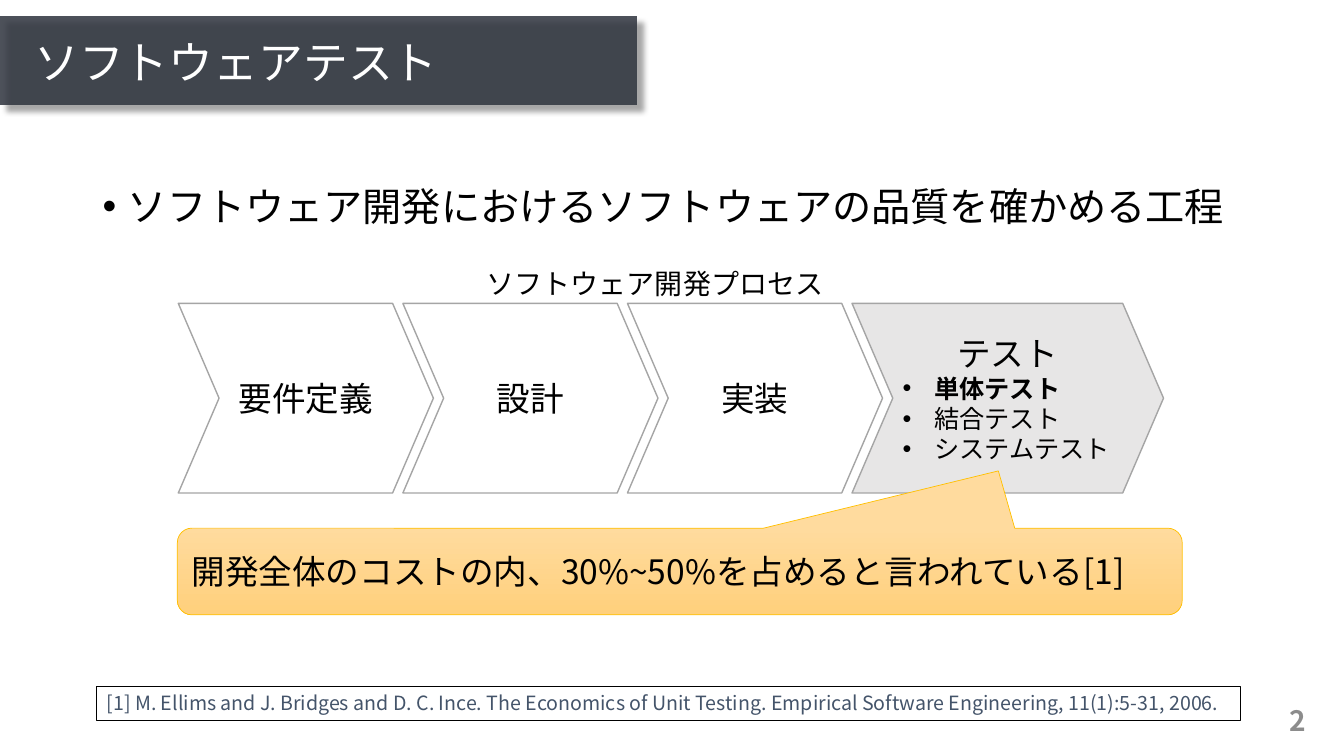
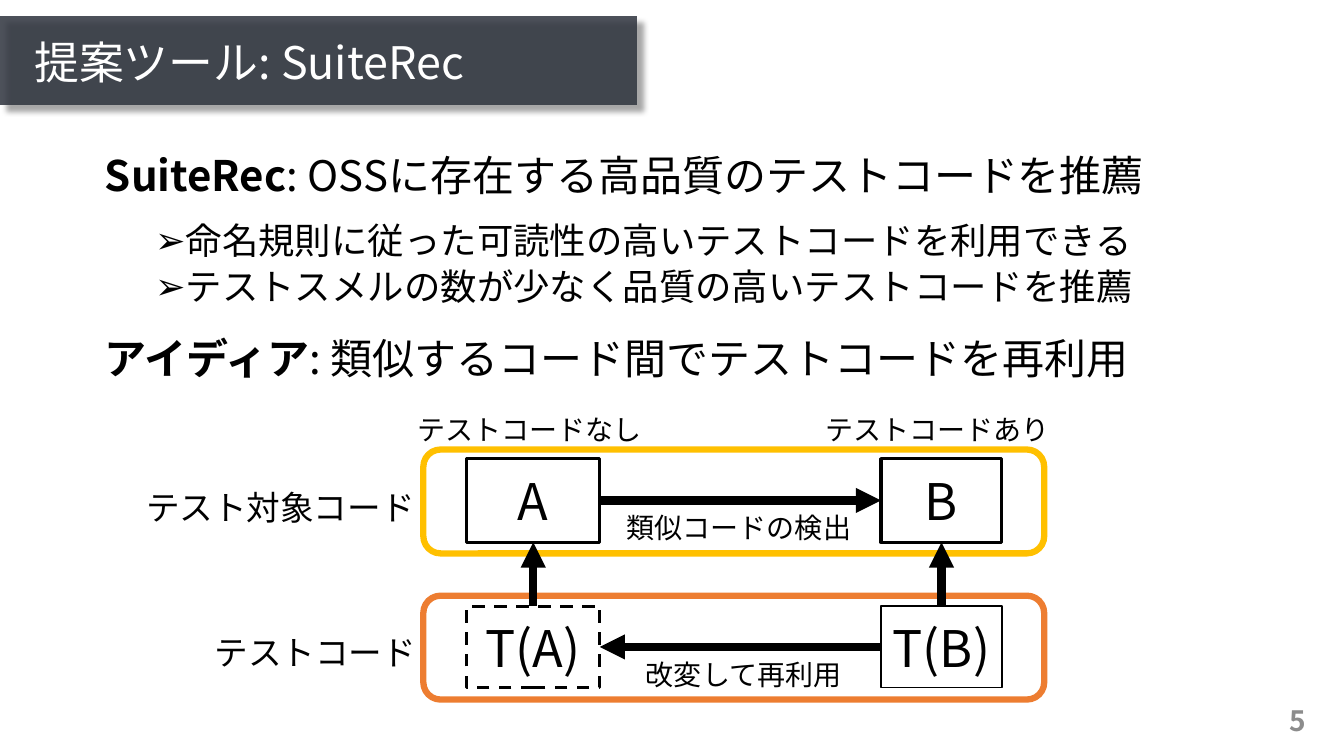
from lxml import etree
from pptx import Presentation
from pptx.dml.color import RGBColor
from pptx.enum.dml import MSO_LINE
from pptx.enum.lang import MSO_LANGUAGE_ID
from pptx.enum.shapes import MSO_CONNECTOR, MSO_SHAPE
from pptx.enum.text import MSO_ANCHOR, MSO_AUTO_SIZE, PP_ALIGN
from pptx.oxml.ns import qn
from pptx.util import Pt

RECT, CHEVRON = MSO_SHAPE.RECTANGLE, MSO_SHAPE.CHEVRON
FRAME = MSO_SHAPE.FLOWCHART_ALTERNATE_PROCESS
CALLOUT = MSO_SHAPE.ROUNDED_RECTANGULAR_CALLOUT
STRAIGHT, DASH = MSO_CONNECTOR.STRAIGHT, MSO_LINE.DASH
TOP, MIDDLE = MSO_ANCHOR.TOP, MSO_ANCHOR.MIDDLE
LEFT, CENTER, RIGHT = PP_ALIGN.LEFT, PP_ALIGN.CENTER, PP_ALIGN.RIGHT
NO_FIT, JAPANESE = MSO_AUTO_SIZE.NONE, MSO_LANGUAGE_ID.JAPANESE

FONT = "Noto Sans CJK JP"
BLACK, WHITE, GRAY, SLATE = "000000", "FFFFFF", "A5A5A5", "44546A"
BAND, NUMBER, PALE = "30353F", "8C8C8C", "E7E6E6"
GOLD, ORANGE = "FFC000", "ED7D31"
CALLOUT_SHADES = ("FFDB9E", "FFD07C")

# Content: a paragraph is a dict; its runs are (text, bold) pairs
TESTING = {
    "title": "ソフトウェアテスト",
    "number": "2",
    "body_at": (66.2, 130.3, 828, 93),
    "body": [dict(runs=[("ソフトウェア開発におけるソフトウェアの品質を確かめる工程", False)],
                  size=28, bullet="•", margin=18, indent=18)],
}
PROCESS_LABEL = "ソフトウェア開発プロセス"
PHASES = ["要件定義", "設計", "実装", "テスト"]
TEST_LEVELS = [("単体テスト", True), ("結合テスト", False), ("システムテスト", False)]
COST = "開発全体のコストの内、30%~50%を占めると言われている[1]"
REFERENCE = ("[1] M. Ellims and J. Bridges and D. C. Ince. The Economics of Unit Testing. "
             "Empirical Software Engineering, 11(1):5-31, 2006.")

ADVANTAGE = dict(size=26, bullet="➢", margin=54, indent=18, level=1)
PROPOSAL = {
    "title": "提案ツール: SuiteRec",
    "number": "5",
    "body_at": (67.7, 107.3, 823, 204),
    "body": [
        dict(runs=[("SuiteRec", True), (": OSSに存在する高品質のテストコードを推薦", False)], size=30),
        dict(runs=[("命名規則に従った可読性の高いテストコードを利用できる", False)], before=16, **ADVANTAGE),
        dict(runs=[("テストスメルの数が少なく品質の高いテストコードを推薦", False)], before=5, **ADVANTAGE),
        dict(runs=[("アイディア", True), (": 類似するコード間でテストコードを再利用", False)],
             size=30, before=21),
    ],
}
FRAMES = [(425.5, ORANGE), (321.1, GOLD)]  # top, outline
COLUMNS = [(333.4, 95), (629.3, 86.4)]  # left, width
ROWS = [(327.6, 59.8), (433, 58.3)]  # top, height
CODE_BOXES = {  # column, row, line width, dash
    "T(A)": (0, 1, 2.25, DASH),
    "A": (0, 0, 2.25, None),
    "T(B)": (1, 1, 1, None),
    "B": (1, 0, 2.25, None),
}
ARROWS = [  # from box, side, to box, side
    ("T(B)", 1, "T(A)", 3),
    ("T(A)", 0, "A", 2),
    ("T(B)", 0, "B", 2),
    ("A", 3, "B", 1),
]
LABELS = [  # text, left, top, width, size
    ("テストコードなし", 290.9, 290.9, 180, 20),
    ("テストコードあり", 582.5, 290.9, 180, 20),
    ("類似コードの検出", 440.6, 361.4, 178, 20),
    ("改変して再利用", 454.3, 465.8, 156.5, 20),
    ("テスト対象コード", 97.2, 344.2, 216.7, 24),
    ("テストコード", 146.2, 447.8, 163.4, 24),
]


def rgb(code):
    return RGBColor.from_string(code)


def apply(target, **values):
    for name, value in values.items():
        setattr(target, name, value)


def place(shape, at):
    apply(shape, **dict(zip(("left", "top", "width", "height"), map(Pt, at))))


def child(parent, tag, **attributes):
    return etree.SubElement(parent, qn(tag), **attributes)


def write(shape, paragraphs, anchor=MIDDLE):
    frame = shape.text_frame
    apply(frame, word_wrap=True, auto_size=NO_FIT, vertical_anchor=anchor)
    for index, item in enumerate(paragraphs):
        paragraph = frame.add_paragraph() if index else frame.paragraphs[0]
        # Bullet and hanging indent
        properties = paragraph._p.get_or_add_pPr()
        properties.set("marL", str(Pt(item.get("margin", 0))))
        properties.set("indent", str(-Pt(item.get("indent", 0))))
        if "bullet" in item:
            child(properties, "a:buFont", typeface="Arial")
            child(properties, "a:buChar", char=item["bullet"])
        else:
            child(properties, "a:buNone")
        apply(paragraph, alignment=item.get("align", LEFT), level=item.get("level", 0),
              line_spacing=item.get("spacing", 1.0), space_before=Pt(item.get("before", 0)))
        for text, bold in item["runs"]:
            run = paragraph.add_run()
            run.text = text
            apply(run.font, name=FONT, size=Pt(item["size"]), bold=bold, language_id=JAPANESE)
            run.font.color.rgb = rgb(item.get("color", BLACK))
            child(run._r.get_or_add_rPr(), "a:ea", typeface=FONT)


def line_of(text, size, bold=False, **values):
    return dict(runs=[(text, bold)], size=size, **values)


def add_text(slide, at, paragraphs, anchor=TOP):
    box = slide.shapes.add_textbox(*map(Pt, at))
    write(box, paragraphs, anchor)


def add_box(slide, kind, at, fill=None, line=None, weight=1, adjust=()):
    box = slide.shapes.add_shape(kind, *map(Pt, at))
    box.shadow.inherit = False
    for index, value in enumerate(adjust):
        box.adjustments[index] = value
    if fill:
        box.fill.solid()
        box.fill.fore_color.rgb = rgb(fill)
    else:
        box.fill.background()
    if line:
        box.line.color.rgb = rgb(line)
        box.line.width = Pt(weight)
    else:
        box.line.fill.background()
    return box


def add_arrow(slide, start, start_side, end, end_side):
    arrow = slide.shapes.add_connector(STRAIGHT, 0, 0, 0, 0)
    arrow.begin_connect(start, start_side)
    arrow.end_connect(end, end_side)
    arrow.line.color.rgb = rgb(BLACK)
    arrow.line.width = Pt(6)
    child(arrow.line._get_or_add_ln(), "a:tailEnd", type="triangle")
    child(arrow.element.spPr, "a:effectLst")


def add_band(slide, layout):
    """Draw the title band and move it to the layout, behind every title."""
    band = add_box(slide, RECT, (0, 11.5, 455, 63.4), BAND)
    properties = band.element.spPr
    child(properties.find(".//" + qn("a:srgbClr")), "a:alpha", val="86000")
    shadow = child(properties.find(qn("a:effectLst")), "a:outerShdw", blurRad=str(Pt(4)),
                   dist=str(Pt(6)), dir="2700000", algn="tl", rotWithShape="0")
    child(child(shadow, "a:srgbClr", val=BLACK), "a:alpha", val="40000")
    layout.element.cSld.spTree.insert(2, band.element)


def add_slide(deck, layout, content):
    slide = deck.slides.add_slide(layout)
    title, body = slide.placeholders
    place(title, (17.3, 17.3, 441.4, 57.6))
    write(title, [line_of(content["title"], 32, color=WHITE, spacing=0.9)])
    place(body, content["body_at"])
    write(body, [dict(item, spacing=0.9) for item in content["body"]], TOP)
    add_text(slide, (724.3, 500.4, 216, 28.8),
             [line_of(content["number"], 20, True, color=NUMBER, align=RIGHT)], MIDDLE)
    return slide


def draw_process(slide):
    # Phases, the last one wider and with its test levels
    for index, phase in enumerate(PHASES):
        last = index == len(PHASES) - 1
        chevron = add_box(slide, CHEVRON,
                          (127.4 + index * 160.4, 216.7, 222.5 if last else 182.2, 135.4),
                          PALE if last else WHITE, GRAY, adjust=[0.215])
        levels = [line_of(text, 18, bold, bullet="•", margin=22.5, indent=22.5)
                  for text, bold in TEST_LEVELS] if last else []
        write(chevron, [line_of(phase, 24, align=CENTER)] + levels)

    # Cost callout
    cost = add_box(slide, CALLOUT, (126.7, 377.3, 717.8, 61.9), WHITE, GOLD, 0.5,
                   [0.317, -1.161, 0.167])
    cost.fill.gradient()
    cost.fill.gradient_angle = 270
    for stop, shade in zip(cost.fill.gradient_stops, CALLOUT_SHADES):
        stop.color.rgb = rgb(shade)
    write(cost, [line_of(COST, 24)])

    # Reference and process label
    reference = add_box(slide, RECT, (69.1, 490.3, 817.2, 24.5), WHITE, BLACK)
    write(reference, [line_of(REFERENCE, 14, color=SLATE)], TOP)
    add_text(slide, (340.6, 186.5, 256.3, 31.7), [line_of(PROCESS_LABEL, 20)])


def draw_reuse(slide):
    for top, outline in FRAMES:
        add_box(slide, FRAME, (302.4, top, 443.5, 74.2), line=outline, weight=4.5)

    # Code boxes on a grid
    boxes = {}
    for name, (column, row, weight, dash) in CODE_BOXES.items():
        (left, width), (top, height) = COLUMNS[column], ROWS[row]
        box = add_box(slide, RECT, (left, top, width, height), WHITE, BLACK, weight)
        if dash:
            box.line.dash_style = dash
        write(box, [line_of(name, 36, align=CENTER)])
        boxes[name] = box

    # Arrows and labels
    for start, start_side, end, end_side in ARROWS:
        add_arrow(slide, boxes[start], start_side, boxes[end], end_side)
    for text, left, top, width, size in LABELS:
        add_text(slide, (left, top, width, size * 1.2 + 7.2), [line_of(text, size)])


def main():
    deck = Presentation()
    apply(deck, slide_width=Pt(960), slide_height=Pt(540))
    layout = deck.slide_layouts[1]
    testing = add_slide(deck, layout, TESTING)
    add_band(testing, layout)
    draw_process(testing)
    draw_reuse(add_slide(deck, layout, PROPOSAL))
    deck.save("out.pptx")


if __name__ == "__main__":
    main()
